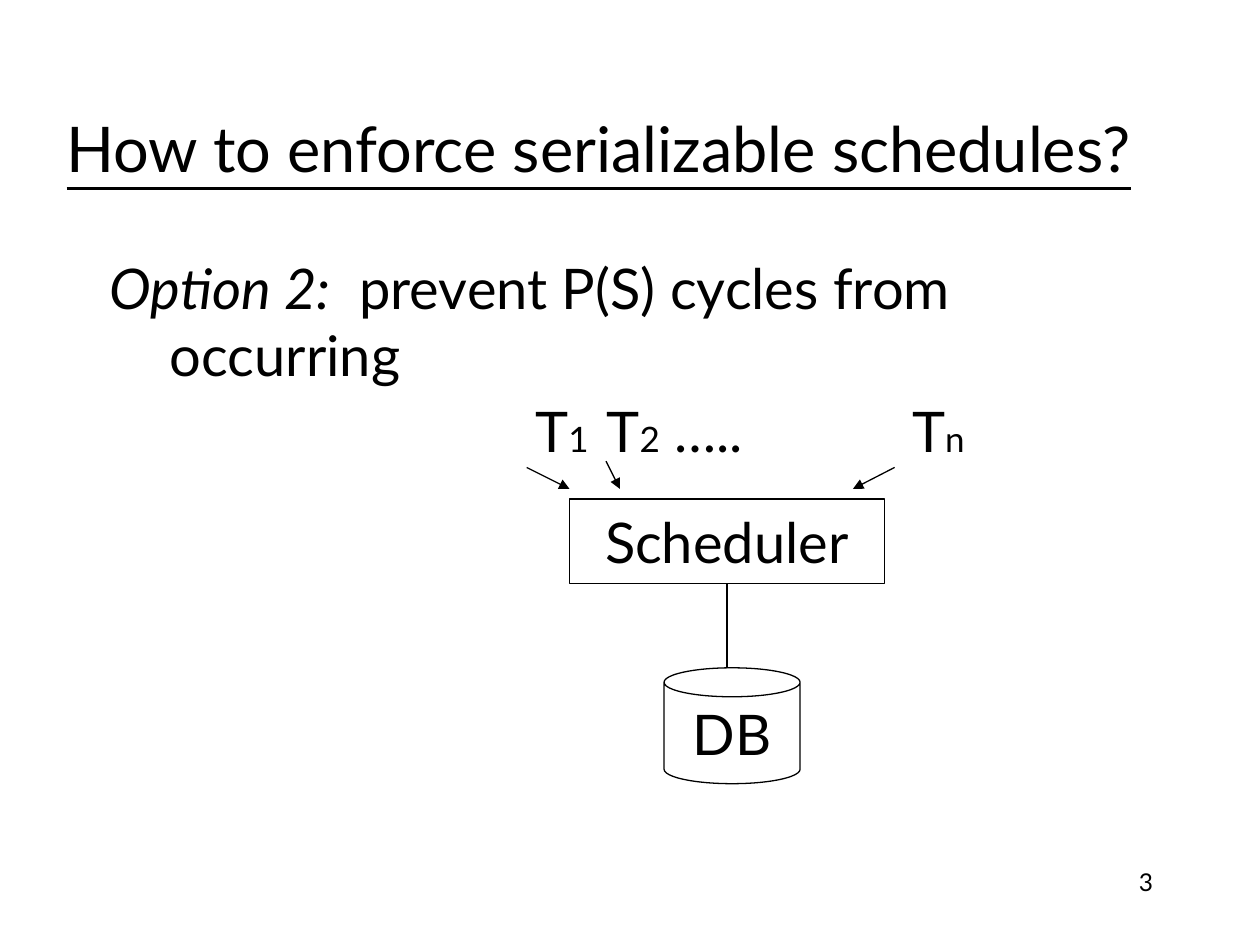
import pptx
import pptx.dml.color
import pptx.enum.shapes
import pptx.enum.text
import pptx.oxml
import pptx.oxml.ns
import pptx.util
from dataclasses import dataclass

Inches = pptx.util.Inches
Pt = pptx.util.Pt
SHAPE = pptx.enum.shapes.MSO_SHAPE
ALIGN = pptx.enum.text.PP_ALIGN
ANCHOR = pptx.enum.text.MSO_ANCHOR


@dataclass(frozen=True)
class Theme:
    font: str = "Lato"
    ink: pptx.dml.color.RGBColor = pptx.dml.color.RGBColor(0, 0, 0)
    paper: pptx.dml.color.RGBColor = pptx.dml.color.RGBColor(255, 255, 255)
    title: int = 36
    body: int = 32
    subscript: int = 20
    number: int = 14
    line: float = 0.75


THEME = Theme()


def set_all(target, values):
    for name, value in values.items():
        setattr(target, name, value)


def add_run(paragraph, text, size, **style):
    run = paragraph.add_run()
    run.text = text
    set_all(run.font, {"name": THEME.font, "size": Pt(size), **style})
    run.font.color.rgb = THEME.ink


def add_text(slide, box, anchor=ANCHOR.TOP):
    frame = slide.shapes.add_textbox(*map(Inches, box)).text_frame
    set_all(frame, {"word_wrap": True, "vertical_anchor": anchor})
    return frame


def indent(paragraph, left, first=0):
    properties = paragraph._p.get_or_add_pPr()
    for name, value in {"marL": left, "indent": first}.items():
        properties.set(name, str(Inches(value)))


def add_transaction(paragraph, name, index):
    add_run(paragraph, name, THEME.body)
    add_run(paragraph, index, THEME.subscript)


def add_node(slide, kind, box, label):
    node = slide.shapes.add_shape(kind, *map(Inches, box))
    node.shadow.inherit = False
    node.fill.solid()
    node.fill.fore_color.rgb = THEME.paper
    node.line.color.rgb = THEME.ink
    node.line.width = Pt(THEME.line)
    set_all(node.text_frame, {"word_wrap": False, "vertical_anchor": ANCHOR.MIDDLE})
    paragraph = node.text_frame.paragraphs[0]
    paragraph.alignment = ALIGN.CENTER
    add_run(paragraph, label, THEME.body)
    return node


def add_line(slide, start, end, arrow=False):
    line = slide.shapes.add_connector(
        pptx.enum.shapes.MSO_CONNECTOR.STRAIGHT, *map(Inches, start + end))
    line.line.color.rgb = THEME.ink
    line.line.width = Pt(THEME.line)
    if arrow:
        outline = line.line._get_or_add_ln()
        outline.append(outline.makeelement(pptx.oxml.ns.qn("a:tailEnd"), {"type": "triangle"}))
    properties = line._element.spPr
    properties.append(properties.makeelement(pptx.oxml.ns.qn("a:effectLst"), {}))
    return line


def main():
    deck = pptx.Presentation()
    set_all(deck, {"slide_width": Inches(10), "slide_height": Inches(7.5)})
    slide = deck.slides.add_slide(deck.slide_layouts[6])

    # Slide number
    number = add_text(slide, (7.17, 6.83, 2.08, 0.5)).paragraphs[0]
    number.alignment = ALIGN.RIGHT
    add_run(number, "3", THEME.number)

    # Option, with its second line hanging
    body = add_text(slide, (0.77, 1.96, 8.5, 4.5))
    option = body.paragraphs[0]
    indent(option, 0.48, -0.48)
    add_run(option, "Option 2:", THEME.body, italic=True)
    add_run(option, "  prevent P(S) cycles from occurring", THEME.body)

    # Row of transactions, the last one apart at the right
    first_transactions = body.add_paragraph()
    indent(first_transactions, 3.38)
    first_transactions.space_before = Pt(5)
    add_transaction(first_transactions, "T", "1  ")
    add_transaction(first_transactions, "T", "2")
    add_run(first_transactions, " …..", THEME.body)
    last_transaction = add_text(slide, (7.14, 3.1, 1, 0.63)).paragraphs[0]
    add_transaction(last_transaction, "T", "n")

    # Scheduler and database
    scheduler = add_node(slide, SHAPE.RECTANGLE, (4.52, 3.96, 2.5, 0.67), "Scheduler")
    add_node(slide, SHAPE.CAN, (5.27, 5.3, 1.08, 0.92), "DB")
    access = add_line(slide, (5.77, 4.63), (5.77, 5.3))
    access.begin_connect(scheduler, 2)

    # Transactions arriving at the scheduler
    for start, end in (((4.18, 3.71), (4.52, 3.88)),
                       ((4.81, 3.66), (4.92, 3.88)),
                       ((7.1, 3.71), (6.77, 3.88))):
        add_line(slide, start, end, arrow=True)

    # Title
    title = add_text(slide, (0.43, 0.54, 8.75, 1.25), ANCHOR.MIDDLE)
    add_run(title.paragraphs[0], "How to enforce serializable schedules?",
            THEME.title, underline=True)

    deck.save("out.pptx")


if __name__ == "__main__":
    main()
